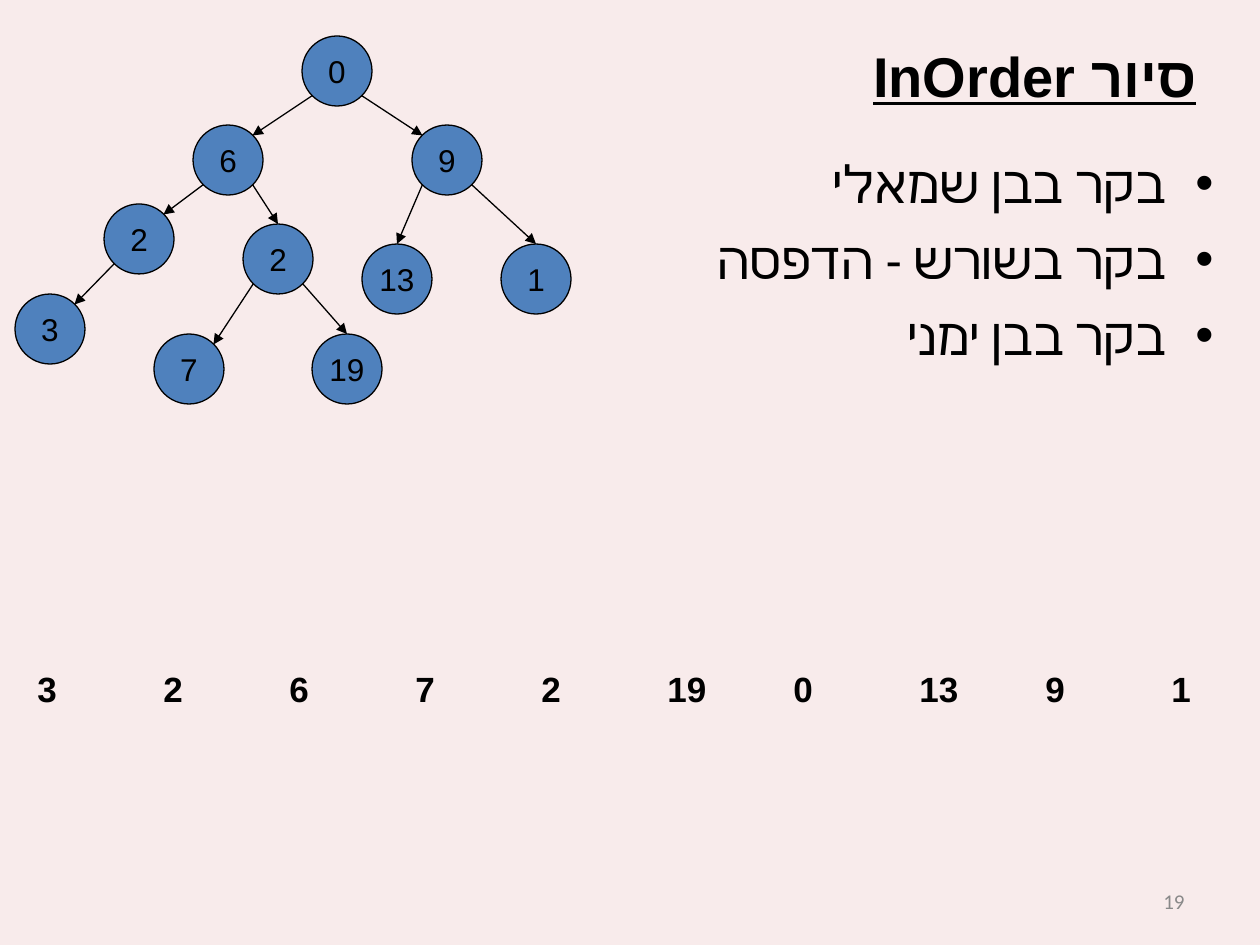
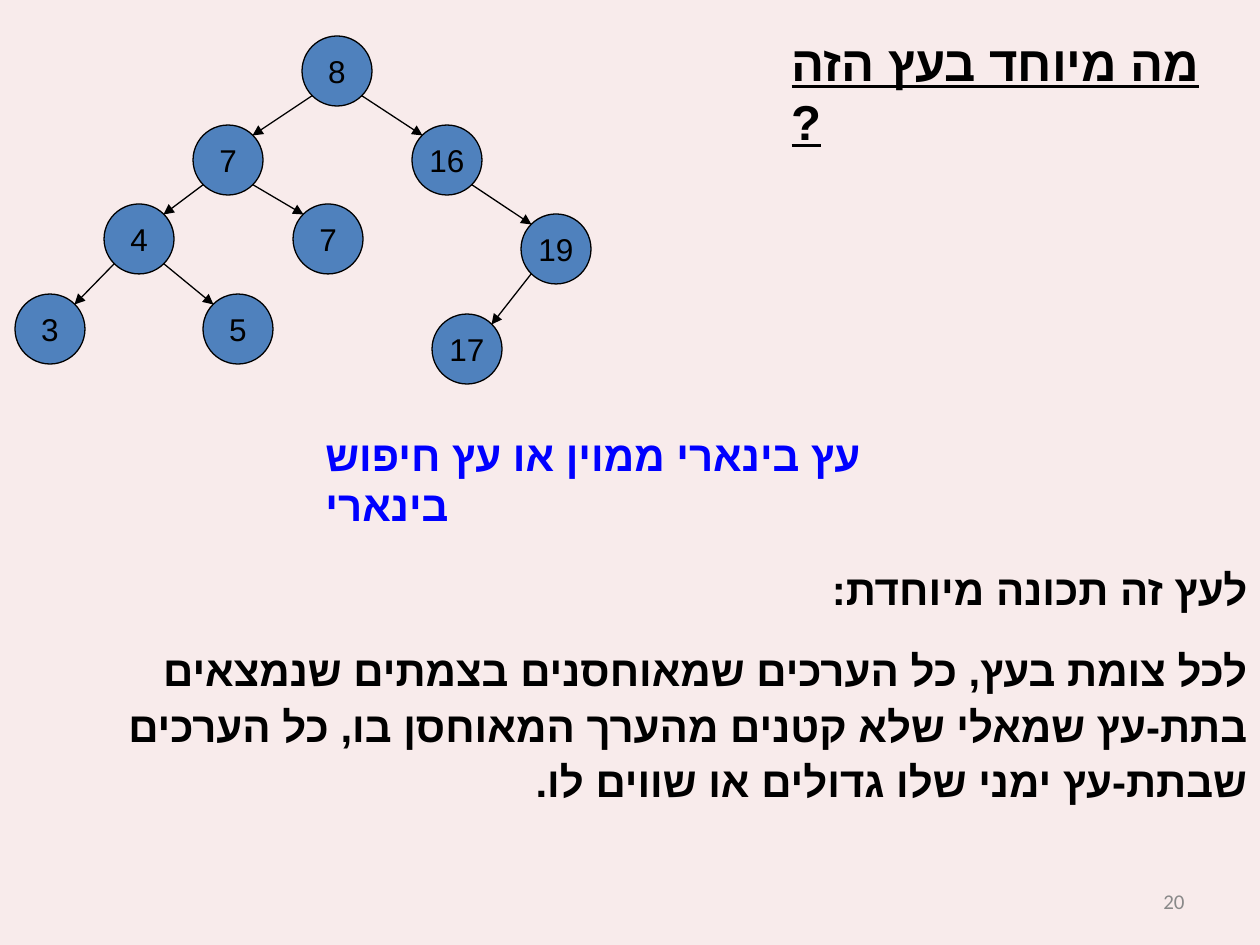
from dataclasses import dataclass

from lxml import etree
from pptx import Presentation
from pptx.dml.color import RGBColor
from pptx.enum import shapes, text
from pptx.oxml.ns import qn
from pptx.util import Emu, Pt

PX = 914400 / 126
SIDE = text.PP_ALIGN
SPINE = [(302, 36, None), (193, 125, 0), (412, 125, 0), (104, 204, 1), (15, 294, 3)]


@dataclass(frozen=True)
class Theme:
    back: str = "F8EBEB"
    ink: str = "000000"
    node: str = "4F81BD"
    mark: str = "0000FF"
    gray: str = "898989"
    sans: str = "Arial"
    soft: str = "Calibri"
    head: float = 32
    ask: float = 28
    list: float = 29.6
    text: float = 24
    row: float = 20
    key: float = 18
    page: float = 12
    line: float = 0.75
    disc: int = 70


def px(*vals):
    return [Emu(round(v * PX)) for v in vals]


class Deck:
    """Builds tree slides in one style."""

    def __init__(self, theme):
        self.theme = theme
        self.prs = Presentation()
        self.prs.slide_width, self.prs.slide_height = px(1260, 945)

    def start(self, layout, page):
        self.slide = self.prs.slides.add_slide(self.prs.slide_layouts[layout])
        fill = self.slide.background.fill
        fill.solid()
        fill.fore_color.rgb = RGBColor.from_string(self.theme.back)
        t = self.theme
        box = self.text(page, (903, 876, 294, 50), t.page, t.gray, t.soft,
                        bold=False, side=SIDE.RIGHT)
        box.text_frame.vertical_anchor = text.MSO_ANCHOR.MIDDLE

    def style(self, shape, words, size, color, font, bold=False,
              line=False, side=SIDE.LEFT, rtl=False, gap=None, lead=None):
        frame = shape.text_frame
        frame.text = words
        for par in frame.paragraphs:
            par.alignment = side
            if rtl:
                par._p.get_or_add_pPr().set("rtl", "1")
            if gap is not None:
                par.space_before = Pt(gap)
            if lead:
                par.line_spacing = lead
            for turn in par._p.findall(qn("a:br")):
                etree.SubElement(turn, qn("a:rPr"), sz=str(round(size * 100)))
            for run in par.runs:
                face = run.font
                face.size, face.name = Pt(size), font
                face.bold, face.underline = bold, line
                face.color.rgb = RGBColor.from_string(color)
                etree.SubElement(run._r.rPr, qn("a:cs"), typeface=font)

    def place(self, shape, spot):
        shape.left, shape.top, shape.width, shape.height = px(*spot)
        frame = shape.text_frame
        frame.word_wrap = True
        frame.auto_size = text.MSO_AUTO_SIZE.NONE
        frame.vertical_anchor = text.MSO_ANCHOR.TOP

    def text(self, words, spot, size, color, font, bold=True, **look):
        box = self.slide.shapes.add_textbox(*px(*spot))
        self.place(box, spot)
        self.style(box, words, size, color, font, bold=bold, **look)
        return box

    def title(self, words, spot, size, **look):
        shape = self.slide.shapes.title
        self.place(shape, spot)
        self.style(shape, words, size, self.theme.ink, self.theme.sans,
                   bold=True, line=True, **look)

    def list(self, items, spot):
        t, body = self.theme, self.slide.placeholders[1]
        self.place(body, spot)
        self.style(body, "\n".join(items), t.list, t.ink, t.soft,
                   side=SIDE.RIGHT, rtl=True, gap=8)

    def row(self, vals, spot, step):
        """Writes values on one line, with a tab stop at each step."""
        t = self.theme
        box = self.text("\t".join(map(str, vals)), spot, t.row, t.ink, t.sans)
        props = box.text_frame.paragraphs[0]._p.get_or_add_pPr()
        stops = etree.SubElement(props, qn("a:tabLst"))
        for i in range(1, len(vals)):
            etree.SubElement(stops, qn("a:tab"), pos=str(px(i * step)[0]), algn="l")

    def node(self, key, x, y):
        t = self.theme
        disc = self.slide.shapes.add_shape(
            shapes.MSO_SHAPE.FLOWCHART_CONNECTOR, *px(x, y, t.disc, t.disc))
        disc.shadow.inherit = False
        disc.fill.solid()
        disc.fill.fore_color.rgb = RGBColor.from_string(t.node)
        disc.line.color.rgb = RGBColor.from_string(t.ink)
        disc.line.width = Pt(t.line)
        disc.text_frame.word_wrap = False
        disc.text_frame.vertical_anchor = text.MSO_ANCHOR.MIDDLE
        self.style(disc, key, t.key, t.ink, t.sans, side=SIDE.CENTER)
        return disc

    def edge(self, top, low, crown):
        """Joins a parent to a child at the diagonals, or at the child's crown."""
        near = round(top.width * 0.15)
        far = top.width - near
        out, into = (near, far) if low.left < top.left else (far, near)
        wire = self.slide.shapes.add_connector(
            shapes.MSO_CONNECTOR.STRAIGHT, top.left + out, top.top + far,
            low.left + into, low.top + near)
        if crown:
            wire.end_connect(low, 0)
        wire.line.color.rgb = RGBColor.from_string(self.theme.ink)
        wire.line.width = Pt(self.theme.line)
        etree.SubElement(wire.line._get_or_add_ln(), qn("a:tailEnd"), type="triangle")
        etree.SubElement(wire._element.spPr, qn("a:effectLst"))

    def tree(self, keys, extra, crowns=()):
        spots = SPINE + extra
        discs = [self.node(key, x, y) for key, (x, y, _) in zip(keys, spots)]
        for i, (_, _, up) in enumerate(spots):
            if up is not None:
                self.edge(discs[up], discs[i], i in crowns)


def walk(deck):
    deck.start(1, "19")
    deck.row([3, 2, 6, 7, 2, 19, 0, 13, 9, 1], (25, 661, 1211, 55), 126)
    deck.title("סיור InOrder", (779, 35, 430, 81), deck.theme.head,
               side=SIDE.RIGHT, rtl=True)
    deck.list(["בקר בבן שמאלי", "בקר בשורש - הדפסה", "בקר בבן ימני"],
              (679, 145, 547, 262))
    deck.tree(["0", "6", "9", "2", "3", "2", "13", "1", "7", "19"],
              [(243, 224, 1), (362, 244, 2), (501, 244, 2), (154, 334, 5), (312, 334, 5)],
              crowns=(5, 6, 7, 9))


def search(deck):
    t = deck.theme
    deck.start(5, "20")
    deck.tree(["8", "7", "16", "4", "3", "7", "19", "5", "17"],
              [(293, 204, 1), (521, 214, 2), (203, 294, 3), (432, 314, 6)])
    deck.title("מה מיוחד בעץ הזה\v?", (779, 26, 456, 131), t.ask)
    deck.text("לעץ זה תכונה מיוחדת:\n"
              "לכל צומת בעץ, כל הערכים שמאוחסנים בצמתים שנמצאים בתת-עץ שמאלי "
              "שלא קטנים מהערך המאוחסן בו, כל הערכים שבתת-עץ ימני שלו גדולים "
              "או שווים לו.",
              (0, 552, 1260, 261), t.text, t.ink, t.sans,
              side=SIDE.RIGHT, rtl=True, gap=15, lead=1.1)
    deck.text("עץ בינארי ממוין או עץ חיפוש בינארי",
              (313, 423, 684, 113), t.text, t.mark, t.sans)


def main():
    deck = Deck(Theme())
    walk(deck)
    search(deck)
    deck.prs.save("out.pptx")


if __name__ == "__main__":
    main()
